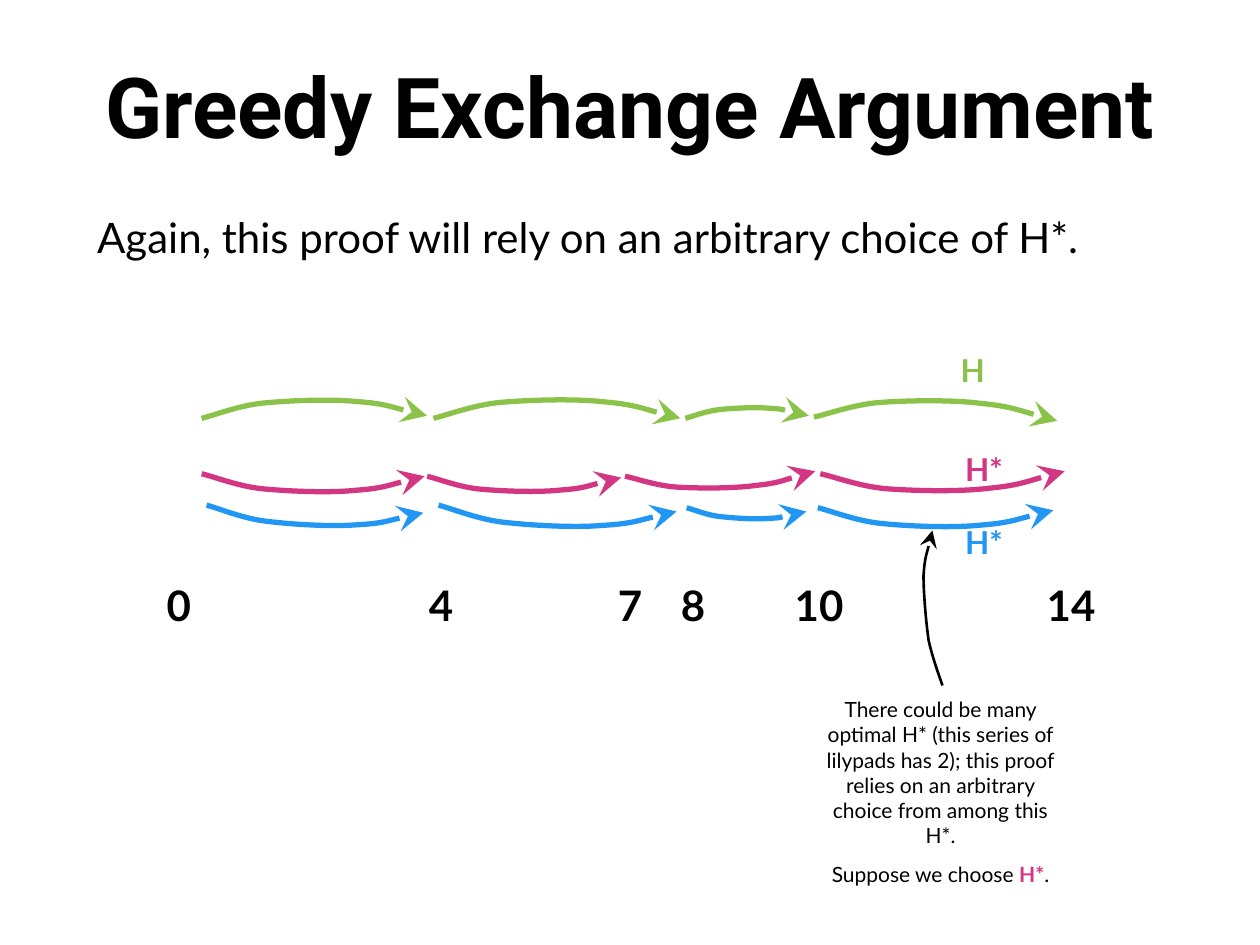
from math import cos, radians, sin

from lxml.etree import SubElement
from pptx import Presentation
from pptx.dml.color import RGBColor
from pptx.enum.text import MSO_ANCHOR, MSO_AUTO_SIZE, PP_ALIGN
from pptx.oxml.ns import qn
from pptx.util import Inches, Pt

BLACK = RGBColor(0x00, 0x00, 0x00)
GREEN = RGBColor(0x8B, 0xC3, 0x4A)
PINK = RGBColor(0xD3, 0x36, 0x82)
BLUE = RGBColor(0x21, 0x96, 0xF3)

HOP_PROFILE = [(0, 0), (0.05, 0.13), (0.16, 0.67), (0.27, 0.8), (0.39, 0.93),
               (0.57, 1), (0.69, 0.83), (0.81, 0.7), (0.95, 0.13), (1, 0)]
HOP_DEPTH = 0.08
UP, DOWN = -1, 1

HOPS = [
    (GREEN, UP, 33.8, [(1.6, 3.32, 3.39, 3.3), (3.44, 3.32, 5.4, 3.32),
                       (5.44, 3.32, 6.42, 3.3), (6.46, 3.31, 8.39, 3.34)]),
    (PINK, DOWN, 145.5, [(1.6, 3.76, 3.37, 3.78), (3.39, 3.78, 4.93, 3.79),
                         (4.96, 3.78, 6.47, 3.74), (6.51, 3.76, 8.45, 3.74)]),
    (BLUE, DOWN, 148.5, [(1.64, 4.01, 3.36, 4.07), (3.48, 4.01, 5.37, 4.06),
                         (5.45, 4.03, 6.4, 4.06), (6.49, 4.03, 8.36, 4.05)]),
]
POINTER = [(7.48, 5.44), (7.46, 5.38), (7.4, 5.22), (7.37, 5.08), (7.35, 4.94),
           (7.33, 4.71), (7.33, 4.57), (7.34, 4.42), (7.39, 4.27), (7.4, 4.21)]
POINTER_ROTATION = 309.5
LILYPADS = [("0", 1.42), ("4", 3.5), ("7", 5), ("8", 5.5), ("10", 6.5), ("14", 8.5)]
SERIES_LABELS = [("H", 7.72, 2.66, GREEN), ("H*", 7.81, 3.44, PINK),
                 ("H*", 7.81, 4.02, BLUE)]


def rotate(point, degrees):
    x, y = point
    angle = radians(degrees)
    return x * cos(angle) - y * sin(angle), x * sin(angle) + y * cos(angle)


class SlideBuilder:
    heading_font = "Roboto"
    body_font = "Lato"

    def __init__(self, slide):
        self.slide = slide

    def style(self, run, size, color=BLACK, bold=False, font=body_font):
        run.font.name = font
        run.font.size = Pt(size)
        run.font.bold = bold
        run.font.color.rgb = color

    def prepare(self, box, anchor):
        frame = box.text_frame
        frame.word_wrap = True
        frame.auto_size = MSO_AUTO_SIZE.NONE
        frame.vertical_anchor = anchor
        frame.margin_left = frame.margin_right = Inches(0.1)
        frame.margin_top = frame.margin_bottom = Inches(0.1)
        return frame

    def place(self, box, left, top, width, height):
        box.left, box.top = Inches(left), Inches(top)
        box.width, box.height = Inches(width), Inches(height)

    def title(self, text):
        box = self.slide.shapes.title
        self.place(box, 0, 0.33, 10, 1.25)
        frame = self.prepare(box, MSO_ANCHOR.TOP)
        frame.text = text
        para = frame.paragraphs[0]
        para.alignment = PP_ALIGN.CENTER
        self.style(para.runs[0], 48, bold=True, font=self.heading_font)

    def body(self, text):
        box = self.slide.placeholders[1]
        self.place(box, 0.67, 1.58, 8.67, 5.92)
        frame = self.prepare(box, MSO_ANCHOR.TOP)
        frame.text = text
        para = frame.paragraphs[0]
        properties = para._p.get_or_add_pPr()
        properties.set("marL", "0")
        properties.set("indent", "0")
        SubElement(properties, qn("a:buNone"))
        para.space_before = Pt(0)
        self.style(para.runs[0], 24)

    def label(self, text, center, top, size, color=BLACK):
        width = 0.4 + 0.16 * len(text)
        box = self.slide.shapes.add_textbox(
            Inches(center - width / 2), Inches(top), Inches(width), Inches(0.56))
        frame = self.prepare(box, MSO_ANCHOR.MIDDLE)
        frame.text = text
        para = frame.paragraphs[0]
        para.alignment = PP_ALIGN.CENTER
        self.style(para.runs[0], size, color, bold=True)

    def note(self, left, top, width, height, paragraphs, gap):
        box = self.slide.shapes.add_textbox(
            Inches(left), Inches(top), Inches(width), Inches(height))
        frame = self.prepare(box, MSO_ANCHOR.TOP)
        for index, pieces in enumerate(paragraphs):
            para = frame.add_paragraph() if index else frame.paragraphs[0]
            para.alignment = PP_ALIGN.CENTER
            if index:
                para.space_before = Pt(gap)
            for text, color, bold in pieces:
                run = para.add_run()
                run.text = text
                self.style(run, 12, color, bold)

    def curve(self, points, rotation, color, weight):
        corners = [tuple(Inches(value) for value in rotate(point, -rotation))
                   for point in points]
        builder = self.slide.shapes.build_freeform(*corners[0])
        builder.add_line_segments(corners[1:], close=False)
        shape = builder.convert_to_shape()
        center = shape.left + shape.width / 2, shape.top + shape.height / 2
        center_x, center_y = rotate(center, rotation)
        shape.left = round(center_x - shape.width / 2)
        shape.top = round(center_y - shape.height / 2)
        shape.rotation = rotation
        shape.shadow.inherit = False
        shape.fill.background()
        shape.line.color.rgb = color
        shape.line.width = Pt(weight)
        SubElement(shape.line._get_or_add_ln(), qn("a:tailEnd"),
                   type="stealth", w="lg", len="lg")
        segments = list(shape._element.iter(qn("a:lnTo")))
        outline = segments[0].getparent()
        for start in range(0, len(segments), 3):
            bezier = SubElement(outline, qn("a:cubicBezTo"))
            for segment in segments[start:start + 3]:
                bezier.append(segment[0])
                outline.remove(segment)

    def hop(self, x1, y1, x2, y2, direction, rotation, color):
        width = x2 - x1
        depth = direction * HOP_DEPTH * width
        points = [(x1 + across * width, y1 + across * (y2 - y1) + bulge * depth)
                  for across, bulge in HOP_PROFILE]
        self.curve(points, rotation, color, 3)


def main():
    deck = Presentation()
    deck.slide_width, deck.slide_height = Inches(10), Inches(7.5)
    page = SlideBuilder(deck.slides.add_slide(deck.slide_layouts[1]))

    page.title("Greedy Exchange Argument")
    page.body("Again, this proof will rely on an arbitrary choice of H*.")
    for text, center in LILYPADS:
        page.label(text, center, 4.52, 24)
    for color, direction, rotation, hops in HOPS:
        for ends in hops:
            page.hop(*ends, direction, rotation, color)
    for text, center, top, color in SERIES_LABELS:
        page.label(text, center, top, 18, color)
    page.note(6.38, 5.43, 2.17, 1.45, [
        [("There could be many optimal H* (this series of lilypads has 2); "
          "this proof relies on an arbitrary choice from among this H*.", BLACK, False)],
        [("Suppose we choose ", BLACK, False), ("H*", PINK, True), (".", BLACK, False)],
    ], gap=7.5)
    page.curve(POINTER, POINTER_ROTATION, BLACK, 1.5)

    deck.save("out.pptx")


if __name__ == "__main__":
    main()
